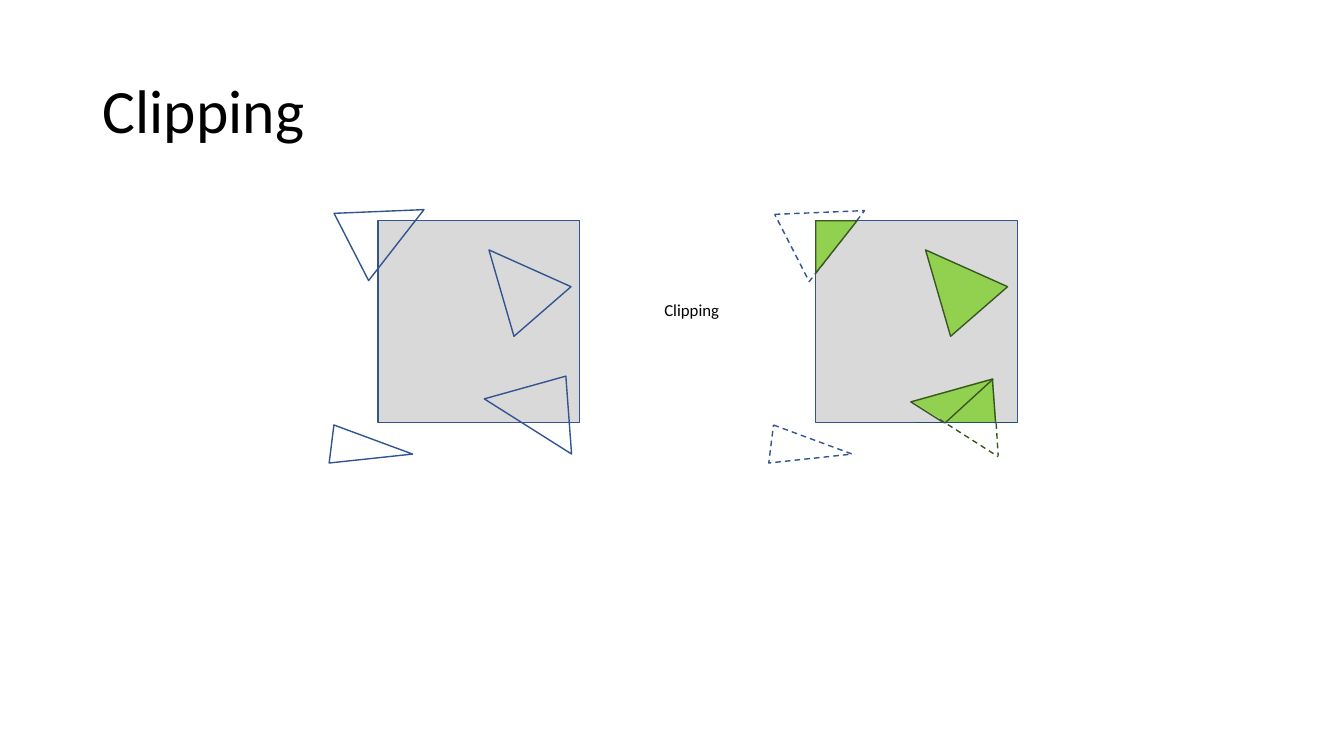
from pptx import Presentation
from pptx.dml.color import RGBColor
from pptx.enum.dml import MSO_LINE
from pptx.enum.shapes import MSO_CONNECTOR, MSO_SHAPE
from pptx.enum.text import MSO_ANCHOR, MSO_AUTO_SIZE, PP_ALIGN
from pptx.oxml.ns import qn
from pptx.util import Inches, Pt
from lxml.etree import SubElement

COLORS = {"window": "D9D9D9", "outline": "325491", "kept": "92D050",
          "cut": "385723", "edge": "1F4E79", "paper": "FFFFFF", "text": "000000"}
SIDE = 2  # window side; every figure is placed from its window's corner
TOP, BEFORE, AFTER = 2.19, 3.75, 8.09

prs = Presentation()
prs.slide_width, prs.slide_height = Inches(13.33), Inches(7.5)
slide = prs.slides.add_slide(prs.slide_layouts[5])
shapes = slide.shapes


def style(figure, fill=None, line=None, dashed=False):
    figure.shadow.inherit = False
    if fill:
        figure.fill.solid()
        figure.fill.fore_color.rgb = RGBColor.from_string(COLORS[fill])
    else:
        figure.fill.background()
    if line:
        figure.line.color.rgb = RGBColor.from_string(COLORS[line])
        figure.line.width = Pt(1)
        if dashed:
            figure.line.dash_style = MSO_LINE.DASH
    else:
        figure.line.fill.background()


def place(kind, left, x, y, w, h, turn=0, apex=0.5, **look):
    figure = shapes.add_shape(kind, Inches(left + x), Inches(TOP + y), Inches(w), Inches(h))
    figure.rotation = turn
    if kind == MSO_SHAPE.ISOSCELES_TRIANGLE:
        figure.adjustments[0] = apex
    style(figure, **look)


# Title and label between the windows
title = shapes.title
title.left, title.top, title.width, title.height = map(Inches, (0.92, 0.4, 11.5, 1.45))
label = shapes.add_textbox(Inches(6.49), Inches(2.92), Inches(0.75), Inches(0.3))
for box, size in ((title, 44), (label, 12)):
    paragraph = box.text_frame.paragraphs[0]
    paragraph.alignment = PP_ALIGN.LEFT
    run = paragraph.add_run()
    run.text = "Clipping"
    run.font.size = Pt(size)
    run.font.name = "Calibri"
    run.font.color.rgb = RGBColor.from_string(COLORS["text"])
title.text_frame.vertical_anchor = MSO_ANCHOR.MIDDLE
title.text_frame.paragraphs[0].line_spacing = 0.9
label.text_frame.word_wrap = False
label.text_frame.auto_size = MSO_AUTO_SIZE.SHAPE_TO_FIT_TEXT

# Windows
for window_left in (BEFORE, AFTER):
    place(MSO_SHAPE.RECTANGLE, window_left, 0, 0, SIDE, SIDE, fill="window", line="outline")

# Triangles: window, x, y, width, height, turn, apex, fill, line, dashed
for left, x, y, w, h, turn, apex, fill, line, dashed in (
    (BEFORE, 0.99, 0.19, 0.75, 0.81, 319, 0.5, None, "outline", False),
    (BEFORE, 1.14, 1.64, 0.84, 0.76, 164.4, 0.183, None, "outline", False),
    (BEFORE, -0.25, 1.86, 0.38, 0.81, 97.1, 0.5, None, "outline", False),
    (BEFORE, -0.28, -0.33, 0.75, 0.81, 62.8, 0.5, None, "outline", False),
    (AFTER, -0.25, -0.32, 0.75, 0.81, 62.8, 0.5, None, "outline", True),
    (AFTER, 0, 0, 0.41, 0.52, 180, 1, "kept", "cut", False),
    (AFTER, 0.98, 0.19, 0.75, 0.81, 319, 0.5, "kept", "cut", False),
    (AFTER, -0.23, 1.86, 0.38, 0.81, 97.1, 0.5, None, "outline", True),
):
    place(MSO_SHAPE.ISOSCELES_TRIANGLE, left, x, y, w, h, turn, apex,
          fill=fill, line=line, dashed=dashed)

# Part kept from the triangle that crosses the bottom edge
for corners in (
    ((1.29, SIDE), (0.95, 1.79), (1.76, 1.56), (1.79, SIDE)),
    ((1.76, 1.57), (1.79, SIDE), (1.29, SIDE)),
):
    points = [(Inches(AFTER + x), Inches(TOP + y)) for x, y in corners]
    outline = shapes.build_freeform(*points[0])
    outline.add_line_segments(points[1:], close=True)
    style(outline.convert_to_shape(), fill="kept")

# Its full outline, with the part below the window hidden
place(MSO_SHAPE.ISOSCELES_TRIANGLE, AFTER, 1.03, 1.67, 0.84, 0.76, 164.4, 0.183, line="cut")
place(MSO_SHAPE.RECTANGLE, AFTER, 1.24, 2.01, 0.88, 0.52, fill="paper")

# Split, window edge and the dashed sides that were cut off
for x1, y1, x2, y2, color, dashed in (
    (1.29, SIDE, 1.76, 1.57, "cut", False),
    (1, SIDE, SIDE, SIDE, "edge", False),
    (1.23, 1.97, 1.81, 2.34, "cut", True),
    (1.79, 2.01, 1.81, 2.33, "cut", True),
):
    side = shapes.add_connector(MSO_CONNECTOR.STRAIGHT, Inches(AFTER + x1), Inches(TOP + y1),
                                Inches(AFTER + x2), Inches(TOP + y2))
    side.line.color.rgb = RGBColor.from_string(COLORS[color])
    side.line.width = Pt(1)
    if dashed:
        side.line.dash_style = MSO_LINE.DASH
    SubElement(side._element.spPr, qn("a:effectLst"))

prs.save("out.pptx")
